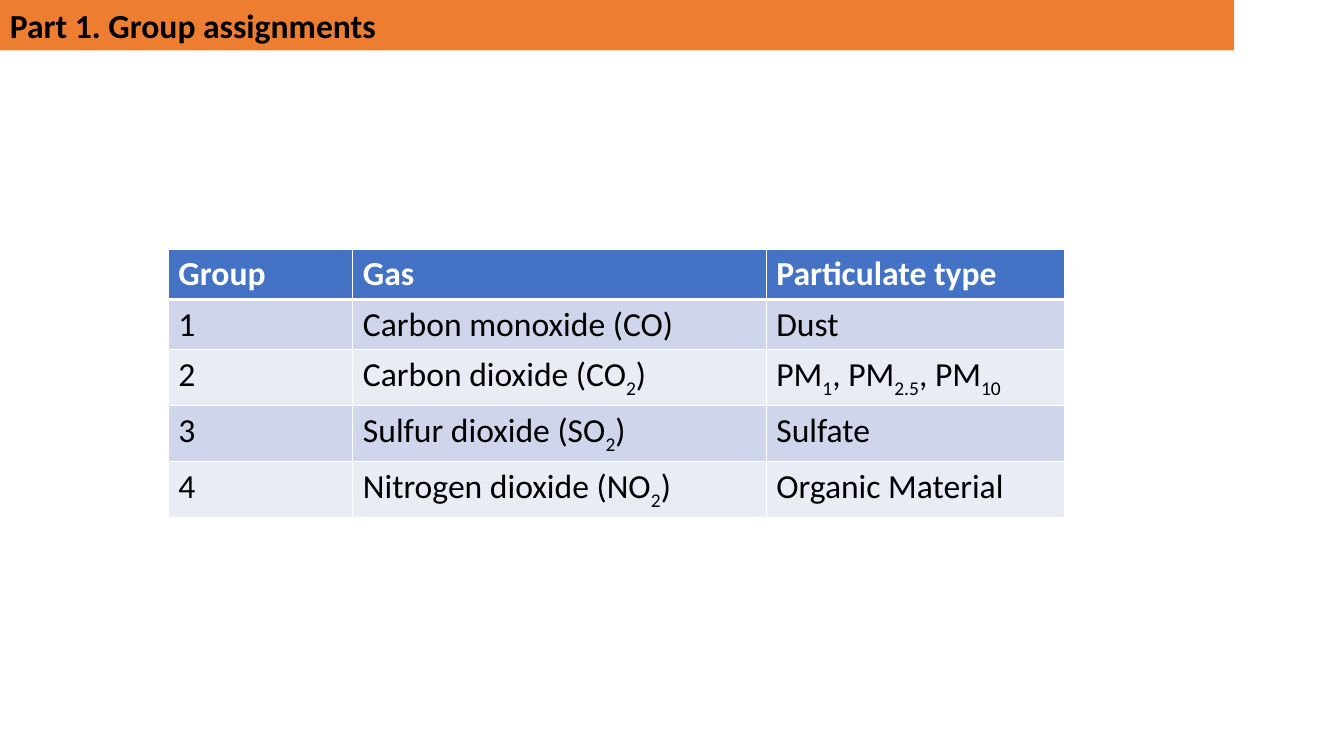
from lxml import etree
from pptx import Presentation, util as u
from pptx.dml.color import RGBColor
from pptx.enum import shapes, text
from pptx.oxml import ns

WHITE, BLACK, ORANGE, BLUE = "FFFFFF", "000000", "ED7D31", "4472C4"
BANDS = ["CFD5EA", "E9EBF5"]


def paint(target, color):
    """Fill a shape or a cell, or colour a font."""
    fill = target.fill
    fill.solid()
    fill.fore_color.rgb = RGBColor.from_string(color)


def add_border(cell, side, points):
    line = etree.SubElement(cell._tc.get_or_add_tcPr(), ns.qn(f"a:ln{side}"), w=str(u.Pt(points)))
    solid = etree.SubElement(line, ns.qn("a:solidFill"))
    etree.SubElement(solid, ns.qn("a:srgbClr"), val=WHITE)


deck = Presentation()
deck.slide_width, deck.slide_height = u.Inches(13.33), u.Inches(7.5)
page = deck.slides.add_slide(deck.slide_layouts[6])

# Title bar
bar = page.shapes.add_shape(shapes.MSO_SHAPE.RECTANGLE, 0, 0, u.Inches(12.24), u.Inches(0.5))
bar.shadow.inherit = False
paint(bar, ORANGE)
bar.line.fill.background()
frame = bar.text_frame
frame.word_wrap = True
frame.auto_size = text.MSO_AUTO_SIZE.SHAPE_TO_FIT_TEXT
frame.vertical_anchor = text.MSO_ANCHOR.TOP
frame.text = "Part 1. Group assignments"
para = frame.paragraphs[0]
para.alignment = text.PP_ALIGN.LEFT
font = para.runs[0].font
font.name, font.size, font.bold = "Calibri", u.Pt(24), True
paint(font, BLACK)

# Group table: text between underscores is subscript
rows = [
    ["Group", "Gas", "Particulate type"],
    ["1", "Carbon monoxide (CO)", "Dust"],
    ["2", "Carbon dioxide (CO_2_)", "PM_1_, PM_2.5_, PM_10_"],
    ["3", "Sulfur dioxide (SO_2_)", "Sulfate"],
    ["4", "Nitrogen dioxide (NO_2_)", "Organic Material"],
]
widths = [1.83, 4.1, 2.96]
row_height = 0.41
table = page.shapes.add_table(
    len(rows), len(widths), u.Inches(1.67), u.Inches(2.47),
    u.Inches(sum(widths)), u.Inches(row_height * len(rows))).table
for column, width in zip(table.columns, widths):
    column.width = u.Inches(width)

for r, row in enumerate(rows):
    table.rows[r].height = u.Inches(row_height)
    header = r == 0
    for c, wording in enumerate(row):
        cell = table.cell(r, c)
        for side in "LRTB":
            under_header = (r, side) in [(0, "B"), (1, "T")]
            add_border(cell, side, 3 if under_header else 1)
        paint(cell, BLUE if header else BANDS[(r - 1) % 2])
        para = cell.text_frame.paragraphs[0]
        for part, piece in enumerate(wording.split("_")):
            if not piece:
                continue
            span = para.add_run()
            span.text = piece
            font = span.font
            font.name, font.size, font.bold = "Calibri", u.Pt(24), header
            paint(font, WHITE if header else BLACK)
            if part % 2:
                font._element.set("baseline", "-25000")

deck.save("out.pptx")
